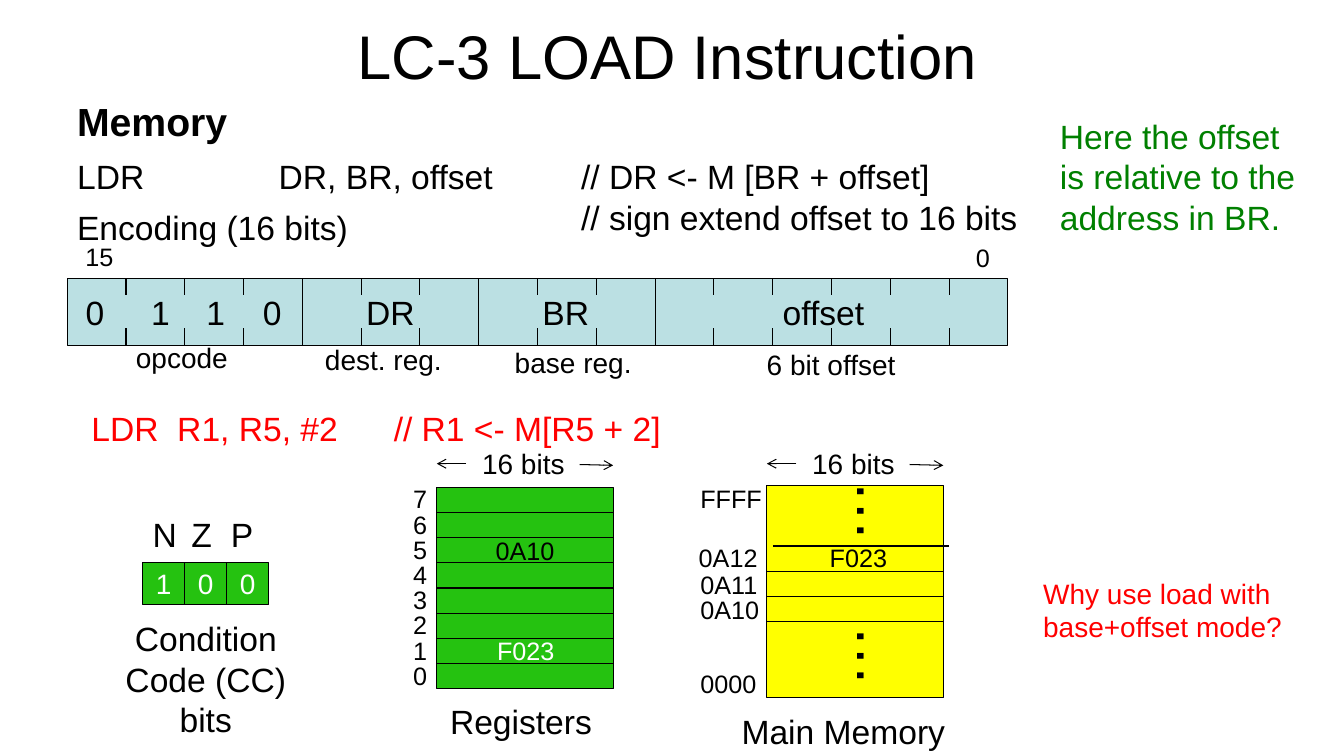
from lxml import etree
from pptx import Presentation
from pptx import util as u
from pptx.dml.color import RGBColor
from pptx.enum import shapes, text
from pptx.oxml.ns import qn

COLUMNS, ROWS = 160, 90
CELL = u.Inches(7.5) / ROWS

BLACK = RGBColor(0x00, 0x00, 0x00)
WHITE = RGBColor(0xFF, 0xFF, 0xFF)
RED = RGBColor(0xFF, 0x00, 0x00)
DARK_GREEN = RGBColor(0x00, 0x80, 0x00)
PALE_BLUE = RGBColor(0xBB, 0xE0, 0xE3)
GREEN = RGBColor(0x25, 0xC2, 0x10)
YELLOW = RGBColor(0xFF, 0xFF, 0x00)

CENTER = text.PP_ALIGN.CENTER
LINE_WIDTH = u.Pt(0.75)


def grid(*cells):
    return [u.Emu(round(cell * CELL)) for cell in cells]


def set_all(target, values):
    for name, value in values.items():
        setattr(target, name, value)


def write(shape, content, size, color=BLACK, bold=None, paragraph_format=None):
    frame = shape.text_frame
    frame.text = content
    for paragraph in frame.paragraphs:
        set_all(paragraph, paragraph_format or {})
        for run in paragraph.runs:
            set_all(run.font, {"name": "Arial", "size": u.Pt(size), "bold": bold})
            run.font.color.rgb = color


def add_label(slide, content, place, size, color=BLACK, wrap=False, bold=None,
              rotation=0, tab_stops=(), **paragraph_format):
    label = slide.shapes.add_textbox(*grid(*place))
    label.rotation = rotation
    set_all(label.text_frame, {"word_wrap": wrap,
                               "auto_size": text.MSO_AUTO_SIZE.SHAPE_TO_FIT_TEXT})
    write(label, content, size, color, bold, paragraph_format)
    if tab_stops:
        for paragraph in label.text_frame.paragraphs:
            tabs = etree.SubElement(paragraph._p.get_or_add_pPr(), qn("a:tabLst"))
            for stop in grid(*tab_stops):
                etree.SubElement(tabs, qn("a:tab"), pos=str(stop), algn="l")


def add_box(slide, place, fill, content="", size=18, color=BLACK):
    box = slide.shapes.add_shape(shapes.MSO_SHAPE.RECTANGLE, *grid(*place))
    box.shadow.inherit = False
    box.fill.solid()
    box.fill.fore_color.rgb = fill
    box.line.color.rgb = BLACK
    box.line.width = LINE_WIDTH
    if content:
        box.text_frame.vertical_anchor = text.MSO_ANCHOR.MIDDLE
        write(box, content, size, color, paragraph_format={"alignment": CENTER})


def add_line(slide, start, end, arrow=False):
    line = slide.shapes.add_connector(shapes.MSO_CONNECTOR.STRAIGHT, *grid(*start, *end))
    line.line.color.rgb = BLACK
    line.line.width = LINE_WIDTH
    properties = line._element.spPr
    if arrow:
        etree.SubElement(properties.find(qn("a:ln")), qn("a:tailEnd"), type="arrow")
    etree.SubElement(properties, qn("a:effectLst"))


def add_title(slide, content):
    title = slide.shapes.title
    set_all(title, dict(zip(("left", "top", "width", "height"), grid(22, -1, 115, 15))))
    title.text_frame.vertical_anchor = text.MSO_ANCHOR.MIDDLE
    write(title, content, 44, paragraph_format={"alignment": CENTER})


def add_encoding(slide):
    left, top, bit, height, tick = 8, 33.1, 7, 8, 2
    bottom = top + height
    add_box(slide, (left, top, 16 * bit, height), PALE_BLUE)
    for index in range(1, 16):
        x = left + index * bit
        if index in (4, 7, 10):
            add_line(slide, (x, top), (x, bottom))
        else:
            add_line(slide, (x, top), (x, top + tick))
            add_line(slide, (x, bottom - tick), (x, bottom))
    fields = [("0", 9, 4.5), ("1", 16.8, 4.5), ("1", 23.4, 4.5), ("0", 30.1, 4.5),
              ("DR", 42.4, 8.2), ("BR", 63.4, 8), ("offset", 92, 12.4)]
    for content, x, width in fields:
        add_label(slide, content, (x, 34.2, width, 6), 24)
    captions = [("opcode", 15, 40, 13.4), ("dest. reg.", 37.5, 40.2, 16.4),
                ("base reg.", 60.1, 40.5, 16.4), ("6 bit offset", 90.1, 40.8, 17.9)]
    for content, x, y, width in captions:
        add_label(slide, content, (x, y, width, 5.2), 20)
    add_label(slide, "15", (9, 28.1, 5.8, 4.8), 18)
    add_label(slide, "0", (115, 28.2, 4, 4.8), 18)


def add_condition_codes(slide):
    for index, (name, x, value) in enumerate((("N", 17, "1"), ("Z", 21.6, "0"),
                                              ("P", 26.3, "0"))):
        add_label(slide, name, (x, 60.6, 5.2, 6), 24)
        add_box(slide, (17 + 5 * index, 67, 5, 5), GREEN, value, 20, WHITE)
    add_label(slide, "Condition\nCode (CC) bits", (13, 73, 23, 15.7), 24,
              wrap=True, alignment=CENTER)


def add_width_marker(slide, left):
    add_label(slide, "16 bits", (left + 4.1, 53.4, 12.4, 4.6), 20,
              alignment=CENTER, line_spacing=0.8)
    add_line(slide, (left + 3.5, 55.2), (left, 55.2), arrow=True)
    add_line(slide, (left + 17, 55.3), (left + 21, 55.4), arrow=True)


def add_registers(slide):
    left, top, height = 52, 58, 3
    add_width_marker(slide, left)
    for index in range(8):
        number = 7 - index
        y = top + index * height
        add_box(slide, (left, y, 21, height), GREEN, "0A10" if number == 5 else "")
        add_label(slide, str(number), (48, y - 1, 4.1, 4.8), 18)
    add_label(slide, "F023", (58, 75.1, 9.4, 4.8), 18, WHITE)
    add_label(slide, "Registers", (52.4, 82.9, 19.4, 6), 24)


def add_memory(slide):
    left, top, width = 91.3, 57.8, 21
    add_width_marker(slide, left)
    add_box(slide, (left, top, width, 25.2), YELLOW)
    for x, y in ((left + 0.7, 65), (left, 68), (left, 71), (left, 74)):
        add_line(slide, (x, y), (x + width, y))
    for y in (55.9, 73.1):
        add_label(slide, "…", (100.1, y, 9.8, 10.1), 44, rotation=90)
    for address, x, y, label_width in (("FFFF", 82.2, 57, 9.8), ("0A12", 82, 64, 9.5),
                                       ("0A11", 82.2, 67.2, 9.2), ("0A10", 82.2, 70.2, 9.5),
                                       ("0000", 82.2, 79, 9.1)):
        add_label(slide, address, (x, y, label_width, 4.8), 18)
    add_label(slide, "F023", (97.6, 64, 9.4, 4.8), 18)
    add_label(slide, "Main Memory", (87.1, 84, 26.9, 6), 24)


def main():
    presentation = Presentation()
    presentation.slide_width, presentation.slide_height = grid(COLUMNS, ROWS)
    slide = presentation.slides.add_slide(presentation.slide_layouts[5])
    add_title(slide, "LC-3 LOAD Instruction")
    add_label(slide, "Memory", (8, 11, 20.8, 6.8), 28, bold=True)
    add_label(slide, "LDR\tDR, BR, offset\t// DR <- M [BR + offset]\n"
              "\t\t// sign extend offset to 16 bits",
              (8, 18, 116, 10.9), 24, wrap=True, tab_stops=(24, 60))
    add_label(slide, "Encoding (16 bits)", (8, 24, 34.9, 6), 24)
    add_encoding(slide)
    add_label(slide, "LDR  R1, R5, #2\t// R1 <- M[R5 + 2]", (9.7, 48, 108.4, 6), 24,
              RED, wrap=True, tab_stops=(36,))
    add_condition_codes(slide)
    add_registers(slide)
    add_memory(slide)
    add_label(slide, "Why use load with base+offset mode?", (123, 68, 32.3, 9.2), 20,
              RED, wrap=True)
    add_label(slide, "Here the offset is relative to the address in BR.",
              (125, 13.2, 31, 15.7), 24, DARK_GREEN, wrap=True)
    presentation.save("out.pptx")


main()
